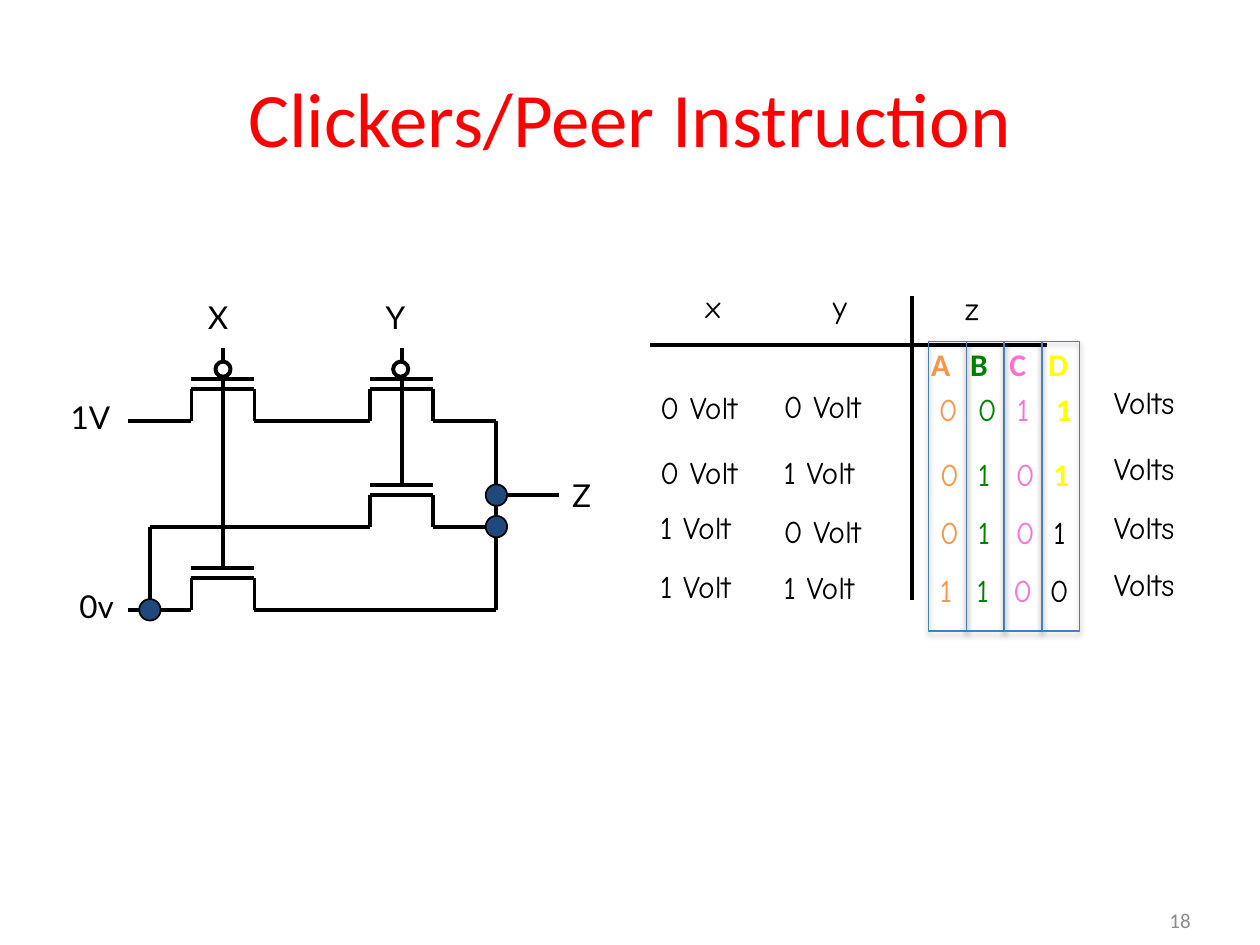
"""Build the clicker question slide: a transistor circuit beside its truth table."""
from lxml import etree
from pptx import Presentation
from pptx import util as u
from pptx.dml.color import RGBColor
from pptx.enum import shapes, text
from pptx.oxml.ns import qn

PX = 9144
COLORS = {
    "black": "000000", "white": "FFFFFF", "title": "FF0000", "number": "8C8C8C",
    "node": "1F497D", "frame": "4B7EBC", "A": "F79646", "B": "008000",
    "C": "FF6FCF", "D": "FFFF00",
}
rgb = {name: RGBColor.from_string(value) for name, value in COLORS.items()}

deck = Presentation()
deck.slide_width, deck.slide_height = 1000 * PX, 750 * PX
slide = deck.slides.add_slide(deck.slide_layouts[6])


def label(words, left, top, width=97, height=45, font="Comic Neue", size=18, color="black"):
    box = slide.shapes.add_textbox(left * PX, top * PX, width * PX, height * PX)
    frame = box.text_frame
    frame.word_wrap = True
    frame.margin_left = frame.margin_right = 2 * PX
    frame.margin_top = frame.margin_bottom = 3 * PX
    line = frame.paragraphs[0]
    line.text = words
    line.line_spacing = u.Pt(21)
    line.font.name, line.font.size = font, u.Pt(size)
    line.font.color.rgb = rgb[color]
    return line, frame


def wire(x1, y1, x2, y2, weight=2.25):
    link = slide.shapes.add_connector(
        shapes.MSO_CONNECTOR.STRAIGHT, x1 * PX, y1 * PX, x2 * PX, y2 * PX)
    link.line.color.rgb = rgb["black"]
    link.line.width = u.Pt(weight)
    etree.SubElement(link._element.spPr, qn("a:effectLst"))


title, title_frame = label("Clickers/Peer Instruction", 50, 30, 900, 125, "Calibri", 44, "title")
title.alignment = text.PP_ALIGN.CENTER
number, number_frame = label("18", 724, 710, 223, 40, "Calibri", 12, "number")
number.alignment = text.PP_ALIGN.RIGHT
for line, frame in ((title, title_frame), (number, number_frame)):
    line.line_spacing = 1.0
    frame.vertical_anchor = text.MSO_ANCHOR.MIDDLE

for terminal, left, top in (("1V", 54, 314), ("X", 163, 234), ("Y", 304, 234),
                            ("0v", 61, 464), ("Z", 452, 376)):
    label(terminal, left, top, 40, font="Lato")

for ends in ((394, 334, 394, 484), (394, 393, 444, 393), (177, 435, 177, 276),
             (244, 418, 119, 418), (394, 484, 244, 484), (319, 368, 319, 276),
             (119, 418, 119, 484)):
    wire(*ends)

for x, y in ((152, 484), (152, 334), (294, 418), (294, 334)):
    channel = [(x - 50, y), (x, y), (x, y - 25), (x + 50, y - 25), (x + 50, y), (x + 100, y)]
    for start, end in zip(channel, channel[1:]):
        wire(*start, *end)
    wire(x, y - 33, x + 50, y - 33)
    wire(x + 25, y - 33, x + 25, y - 58)

for x, y, size, fill, weight in ((177, 293, 12, "white", 2.25), (318, 293, 12, "white", 2.25),
                                 (119, 484, 17, "node", 1), (394, 418, 17, "node", 1),
                                 (394, 393, 17, "node", 1)):
    dot = slide.shapes.add_shape(
        shapes.MSO_SHAPE.OVAL, round((x - size / 2) * PX), round((y - size / 2) * PX),
        size * PX, size * PX)
    dot.shadow.inherit = False
    dot.fill.solid()
    dot.fill.fore_color.rgb = rgb[fill]
    dot.line.color.rgb = rgb["black"]
    dot.line.width = u.Pt(weight)

wire(516, 274, 831, 274, 2)
wire(724, 235, 724, 476, 2)
for heading, left, top in (("x", 558, 226), ("y", 659, 226), ("z", 764, 227)):
    label(heading, left, top, 40)

for column, left, tops in ((("0 Volt", "0 Volt", "1 Volt", "1 Volt"), 522, (306, 357, 401, 448)),
                           (("0 Volt", "1 Volt", "0 Volt", "1 Volt"), 620, (305, 357, 404, 449)),
                           (("Volts",) * 4, 882, (302, 354, 401, 446))):
    for words, top in zip(column, tops):
        label(words, left, top)

for choices, left, top, step, last in (("ABCD", 737, 272, 31, "D"), ("0011", 743, 307, 31, "D"),
                                       ("0101", 744, 359, 30, "D"), ("0101", 744, 405, 30, "black"),
                                       ("1100", 744, 451, 29, "black")):
    line, frame = label("", left, top, 125)
    for index, (choice, color) in enumerate(zip(choices, ("A", "B", "C", last))):
        run = line.add_run()
        run.text = choice if index == 0 else "\t" + choice
        run.font.color.rgb = rgb[color]
        if choices == "ABCD" or color == "D":
            run.font.name, run.font.bold = "Calibri", True
    stops = etree.Element(qn("a:tabLst"))
    for index in (1, 2, 3):
        etree.SubElement(stops, qn("a:tab"), pos=str(index * step * PX), algn="l")
    line._p.pPr.find(qn("a:defRPr")).addprevious(stops)

for index in range(4):
    frame = slide.shapes.add_shape(
        shapes.MSO_SHAPE.RECTANGLE, (737 + 30 * index) * PX, 271 * PX, 30 * PX, 230 * PX)
    frame.fill.background()
    frame.line.color.rgb = rgb["frame"]
    frame.line.width = u.Pt(0.75)
    frame.shadow.inherit = False
    effects = frame._element.spPr.find(qn("a:effectLst"))
    shadow = etree.SubElement(effects, qn("a:outerShdw"), blurRad=str(u.Pt(3.1)),
                              dist=str(u.Pt(1.8)), dir="5400000", rotWithShape="0")
    shade = etree.SubElement(shadow, qn("a:srgbClr"), val=COLORS["black"])
    etree.SubElement(shade, qn("a:alpha"), val="35000")

deck.save("out.pptx")
